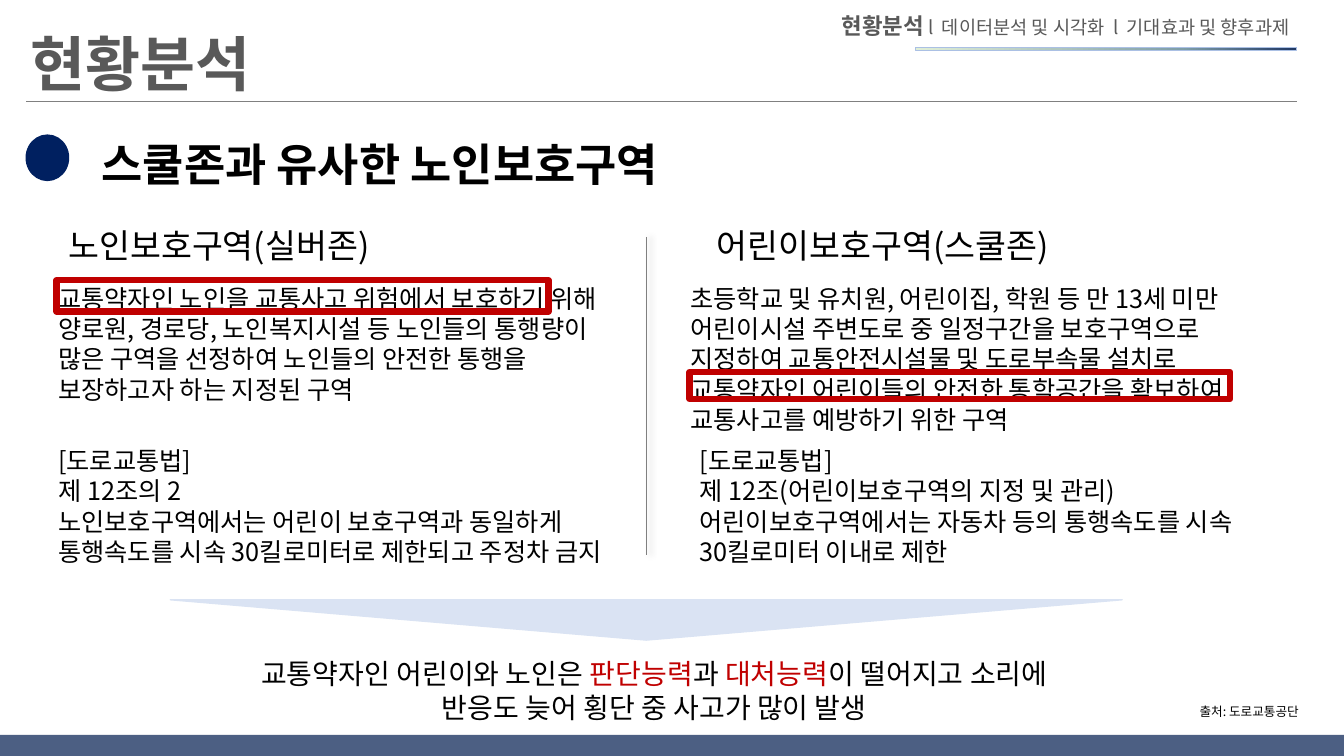
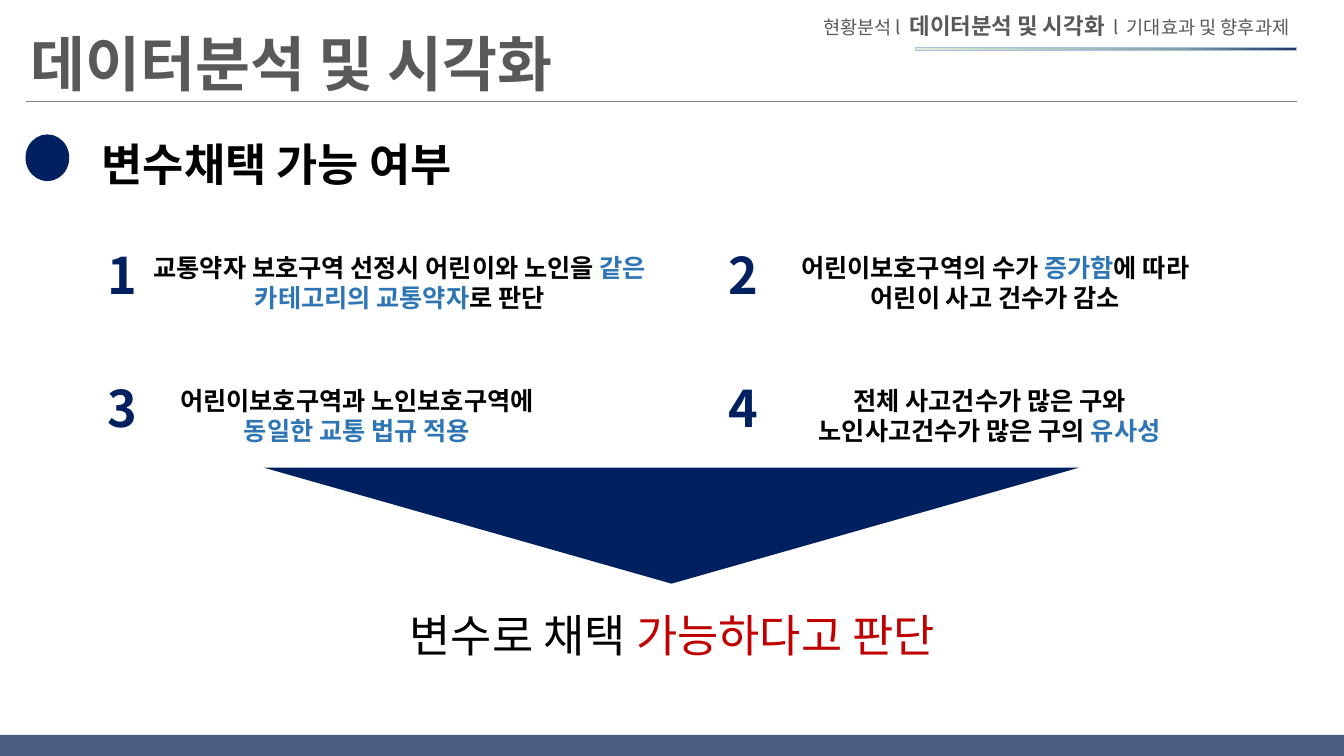
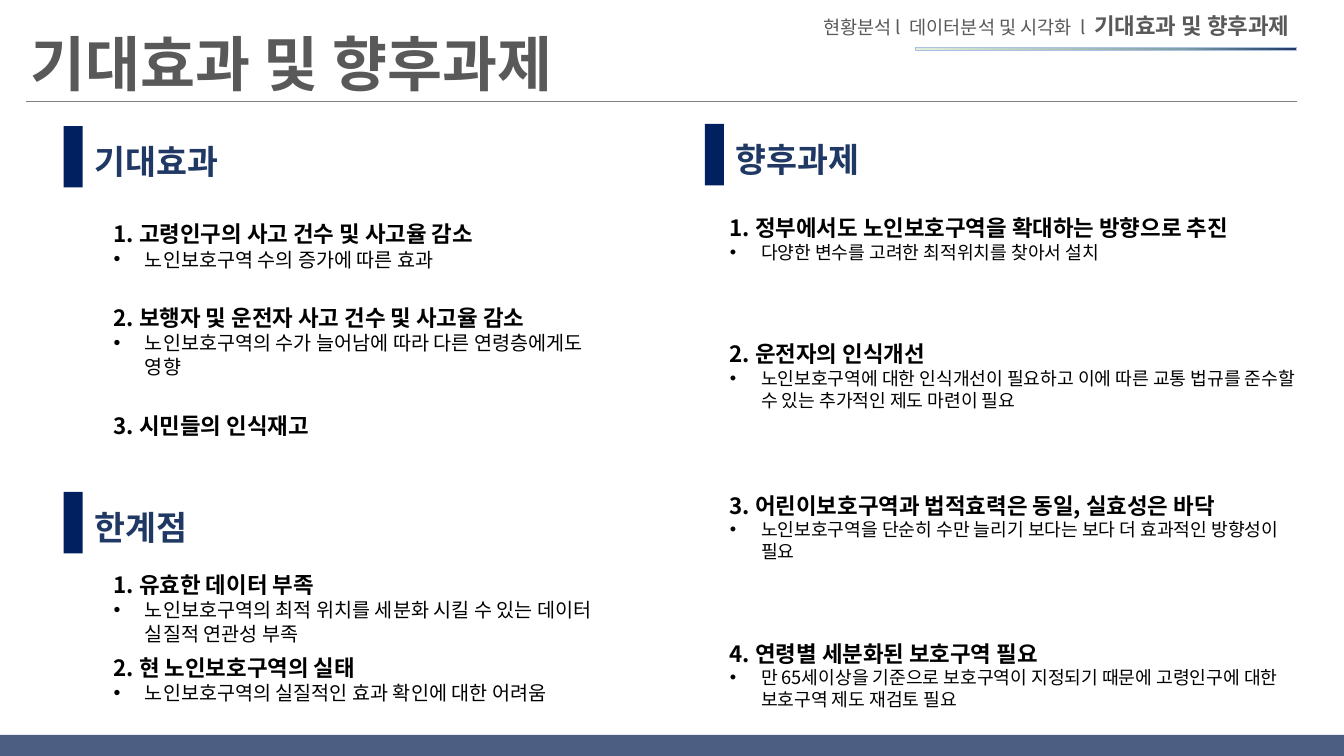
"""Three slides on silver zones: current state, variable choice, outlook."""
from lxml import etree
from pptx import Presentation, util as u
from pptx.dml.color import RGBColor
from pptx.enum import shapes, text
from pptx.oxml.ns import qn

W, H = 13.33, 7.5
FONT = "Noto Sans CJK KR"
NAVY, DEEP, RED, BLUE = "002060", "203864", "C00000", "2E75B6"
GREY, RULE, PALE, BLACK = "595959", "808080", "DAE3F3", "000000"
LEADING, DROP = 1.2, 0.08
LEFT, CENTER, RIGHT = text.PP_ALIGN.LEFT, text.PP_ALIGN.CENTER, text.PP_ALIGN.RIGHT
RECT, TRIANGLE = shapes.MSO_SHAPE.RECTANGLE, shapes.MSO_SHAPE.ISOSCELES_TRIANGLE

SECTIONS = ["현황분석", "데이터분석 및 시각화", "기대효과 및 향후과제"]
GRADIENT = [(0, DEEP), (30, "7F9EA8"), (63, "AFC6BF"), (100, "DFEED6")]

ZONE_NAMES = [
    ((0.58, 2.15, 3.56, 0.5), "노인보호구역(실버존)"),
    ((7.01, 2.15, 3.89, 0.5), "어린이보호구역(스쿨존)"),
]
ZONE_TEXTS = [
    ((0.48, 2.74, 5.7, 1.31), [
        "교통약자인 노인을 교통사고 위험에서 보호하기 위해 양로원, 경로당, 노인복지시설 등 "
        "노인들의 통행량이 많은 구역을 선정하여 노인들의 안전한 통행을 보장하고자 하는 지정된 구역"]),
    ((6.75, 2.74, 5.94, 1.62), [
        "초등학교 및 유치원, 어린이집, 학원 등 만 13세 미만 어린이시설 주변도로 중 일정구간을 "
        "보호구역으로 지정하여 교통안전시설물 및 도로부속물 설치로 교통약자인 어린이들의 안전한 "
        "통학공간을 확보하여 교통사고를 예방하기 위한 구역"]),
    ((0.48, 4.35, 5.7, 1.62), [
        "[도로교통법]", "제 12조의 2",
        "노인보호구역에서는 어린이 보호구역과 동일하게 통행속도를 시속 30킬로미터로 제한되고 주정차 금지"]),
    ((6.84, 4.35, 5.7, 1.31), [
        "[도로교통법]", "제 12조(어린이보호구역의 지정 및 관리)",
        "어린이보호구역에서는 자동차 등의 통행속도를 시속 30킬로미터 이내로 제한"]),
]
HIGHLIGHTS = [(0.56, 2.78, 4.88, 0.31), (6.84, 3.69, 5.36, 0.27)]
ZONE_RESULT = ("교통약자인 어린이와 노인은 |판단능력|과 |대처능력|이 떨어지고 "
               "소리에 반응도 늦어 횡단 중 사고가 많이 발생")

REASONS = [
    (1.4, 5.13, "교통약자 보호구역 선정시 어린이와 노인을 |같은 카테고리의 교통약자|로 판단"),
    (7.63, 4.48, "어린이보호구역의 수가 |증가함|에 따라 어린이 사고 건수가 감소"),
    (1.49, 4.1, "어린이보호구역과 노인보호구역에 |동일한 교통 법규 적용|"),
    (7.63, 4.37, "전체 사고건수가 많은 구와 노인사고건수가 많은 구의 |유사성|"),
]
NUMBER_X, REASON_Y, REASON_STEP = (0.72, 6.88), 2.33, 1.32

HEADINGS = [(0.63, 1.25, "기대효과"), (0.63, 4.88, "한계점"), (6.99, 1.23, "향후과제")]
LISTS = [
    (1.03, 4.94, 14, [
        (2.12, "1. 고령인구의 사고 건수 및 사고율 감소", "노인보호구역 수의 증가에 따른 효과"),
        (2.95, "2. 보행자 및 운전자 사고 건수 및 사고율 감소",
         "노인보호구역의 수가 늘어남에 따라 다른 연령층에게도 영향"),
        (4.02, "3. 시민들의 인식재고"),
        (5.6, "1. 유효한 데이터 부족",
         "노인보호구역의 최적 위치를 세분화 시킬 수 있는 데이터 실질적 연관성 부족"),
        (6.42, "2. 현 노인보호구역의 실태", "노인보호구역의 실질적인 효과 확인에 대한 어려움"),
    ]),
    (7.14, 5.85, 13, [
        (2.06, "1. 정부에서도 노인보호구역을 확대하는 방향으로 추진",
         "다양한 변수를 고려한 최적위치를 찾아서 설치"),
        (3.31, "2. 운전자의 인식개선",
         "노인보호구역에 대한 인식개선이 필요하고 이에 따른 교통 법규를 준수할 수 있는 "
         "추가적인 제도 마련이 필요"),
        (4.81, "3. 어린이보호구역과 법적효력은 동일, 실효성은 바닥",
         "노인보호구역을 단순히 수만 늘리기 보다는 보다 더 효과적인 방향성이 필요"),
        (6.28, "4. 연령별 세분화된 보호구역 필요",
         "만 65세이상을 기준으로 보호구역이 지정되기 때문에 고령인구에 대한 보호구역 제도 재검토 필요"),
    ]),
]


def rgb(value):
    return RGBColor.from_string(value)


def inches(*values):
    return [u.Inches(v) for v in values]


def sub(parent, tag, **attrs):
    return etree.SubElement(parent, qn(tag), {k: str(v) for k, v in attrs.items()})


def style_run(r, size, color, bold):
    r.font.name, r.font.size, r.font.bold = FONT, u.Pt(size), bold
    r.font.color.rgb = rgb(color)
    sub(r.font._element, "a:ea", typeface=FONT)


def put_text(parent, box, paras, size, color=BLACK, bold=False, align=LEFT, accent=RED):
    """Add a text box; parts between bars take the accent colour."""
    tf = parent.add_textbox(*inches(*box)).text_frame
    tf.word_wrap = True
    tf.margin_top = u.Inches(0.05 + DROP * size / 72)
    tf.margin_bottom = 0
    for i, para in enumerate(paras):
        p = tf.paragraphs[0] if i == 0 else tf.add_paragraph()
        p.alignment, p.line_spacing = align, u.Pt(round(size * LEADING, 1))
        for j, part in enumerate(para.split("|")):
            if part:
                r = p.add_run()
                r.text = part
                style_run(r, size, accent if j % 2 else color, bold)
    return tf


def put_shape(s, kind, box, fill=None, line=None, width=1):
    sp = s.shapes.add_shape(kind, *inches(*box))
    sp.shadow.inherit = False
    if fill:
        sp.fill.solid()
        sp.fill.fore_color.rgb = rgb(fill)
    else:
        sp.fill.background()
    if line:
        sp.line.color.rgb, sp.line.width = rgb(line), u.Pt(width)
    else:
        sp.line.fill.background()
    return sp


def put_line(s, *ends):
    """Add a thin grey rule and return its effect list."""
    c = s.shapes.add_connector(shapes.MSO_CONNECTOR.STRAIGHT, *inches(*ends))
    c.line.color.rgb, c.line.width = rgb(RULE), u.Pt(0.5)
    return sub(c._element.spPr, "a:effectLst")


def put_nav(s, active):
    nav = "  l  ".join(f"|{n}|" if n == active else n for n in SECTIONS)
    nav = nav.replace(SECTIONS[0] + "  ", SECTIONS[0] + " ").replace("|  l", "| l", 1) \
        if active == SECTIONS[0] else nav.replace(SECTIONS[0] + "  ", SECTIONS[0] + " ")
    tf = put_text(s.shapes, (0.26, 0.05, 12.73, 0.37), [nav], 16, GREY, False, RIGHT, GREY)
    tf.margin_right = u.Inches(0.2)
    for r in tf.paragraphs[0].runs:
        r.font.bold = r.text == active
        r.font.size = u.Pt(16 if r.font.bold else 13.3)


def put_frame(prs, title):
    s = prs.slides.add_slide(prs.slide_layouts[6])
    put_line(s, 0.26, 1.01, 12.86, 1.01)
    put_text(s.shapes, (0.2, 0.17, 7, 0.82), [title], 42.7, GREY, True)
    band = put_shape(s, RECT, (0, 7.29, W, H - 7.29), DEEP)
    sub(band.fill._xPr.find(".//" + qn("a:srgbClr")), "a:alpha", val=80000)
    bar = put_shape(s, RECT, (9.08, 0.47, 3.78, 0.03), DEEP, "ABC0E4")
    bar.fill.gradient()
    bar.fill.gradient_angle = 180
    stops = bar._element.spPr.find(".//" + qn("a:gsLst"))
    for old in list(stops):
        stops.remove(old)
    for pos, color in GRADIENT:
        sub(sub(stops, "a:gs", pos=pos * 1000), "a:srgbClr", val=color)
    put_nav(s, title)
    return s


def put_topic(s, topic):
    put_shape(s, shapes.MSO_SHAPE.FLOWCHART_CONNECTOR, (0.26, 1.34, 0.42, 0.45), NAVY, NAVY)
    put_text(s.shapes, (0.91, 1.27, 8, 0.64), [topic], 32, bold=True)


def build_zones(s):
    put_topic(s, "스쿨존과 유사한 노인보호구역")
    shadow = sub(put_line(s, 6.41, 2.35, 6.41, 5.51), "a:outerShdw",
                 blurRad=u.Pt(4), dist=u.Pt(3), dir=0, algn="l", rotWithShape=0)
    sub(sub(shadow, "a:srgbClr", val=BLACK), "a:alpha", val=40000)
    for box, name in ZONE_NAMES:
        put_text(s.shapes, box, [name], 24)
    for box, paras in ZONE_TEXTS:
        put_text(s.shapes, box, paras, 18)
    for box in HIGHLIGHTS:
        put_shape(s, RECT, box, line=RED, width=4.5)
    put_shape(s, TRIANGLE, (1.69, 5.95, 9.44, 0.4), PALE, PALE).rotation = 180
    put_text(s.shapes, (2.46, 6.44, 8.06, 0.77), [ZONE_RESULT], 20, align=CENTER)
    put_text(s.shapes, (11.8, 6.92, 1.5, 0.25), ["출처: 도로교통공단"], 9)


def build_reasons(s):
    put_topic(s, "변수채택 가능 여부")
    for i, (x, width, reason) in enumerate(REASONS):
        row, col = divmod(i, 2)
        y = REASON_Y + row * REASON_STEP
        g = s.shapes.add_group_shape().shapes
        put_text(g, (x, y + 0.1, width, 0.71), [reason], 18, BLACK, True, CENTER, BLUE)
        put_text(g, (NUMBER_X[col], y, 0.99, 0.71), [str(i + 1)], 36, NAVY, True, CENTER)
    put_shape(s, TRIANGLE, (2.62, 4.64, 8.08, 1.15), NAVY).rotation = 180
    put_text(s.shapes, (3.85, 5.94, 5.64, 0.64), ["변수로 채택 |가능하다고 판단|"], 32, align=CENTER)


def build_outlook(s):
    for x, y, name in HEADINGS:
        put_shape(s, RECT, (x, y, 0.19, 0.61), NAVY)
        tf = put_text(s.shapes, (x + 0.21, y - 0.07, 2.3, 0.76), [name], 24, DEEP, True)
        tf.vertical_anchor = text.MSO_ANCHOR.MIDDLE
    for x, width, size, items in LISTS:
        for y, *paras in items:
            tf = put_text(s.shapes, (x, y, width, 0.37 + 0.44 * (len(paras) - 1)), paras, 16, bold=True)
            for p in tf.paragraphs[1:]:
                p.line_spacing = u.Pt(size * LEADING)
                p.runs[0].font.size, p.runs[0].font.bold = u.Pt(size), False
                pr = p._p.get_or_add_pPr()
                pr.set("marL", str(u.Inches(0.31)))
                pr.set("indent", str(-u.Inches(0.31)))
                sub(pr, "a:buFont", typeface="Arial")
                sub(pr, "a:buChar", char="•")


def main():
    prs = Presentation()
    prs.slide_width, prs.slide_height = inches(W, H)
    for title, build in zip(SECTIONS, (build_zones, build_reasons, build_outlook)):
        build(put_frame(prs, title))
    prs.save("out.pptx")


if __name__ == "__main__":
    main()
